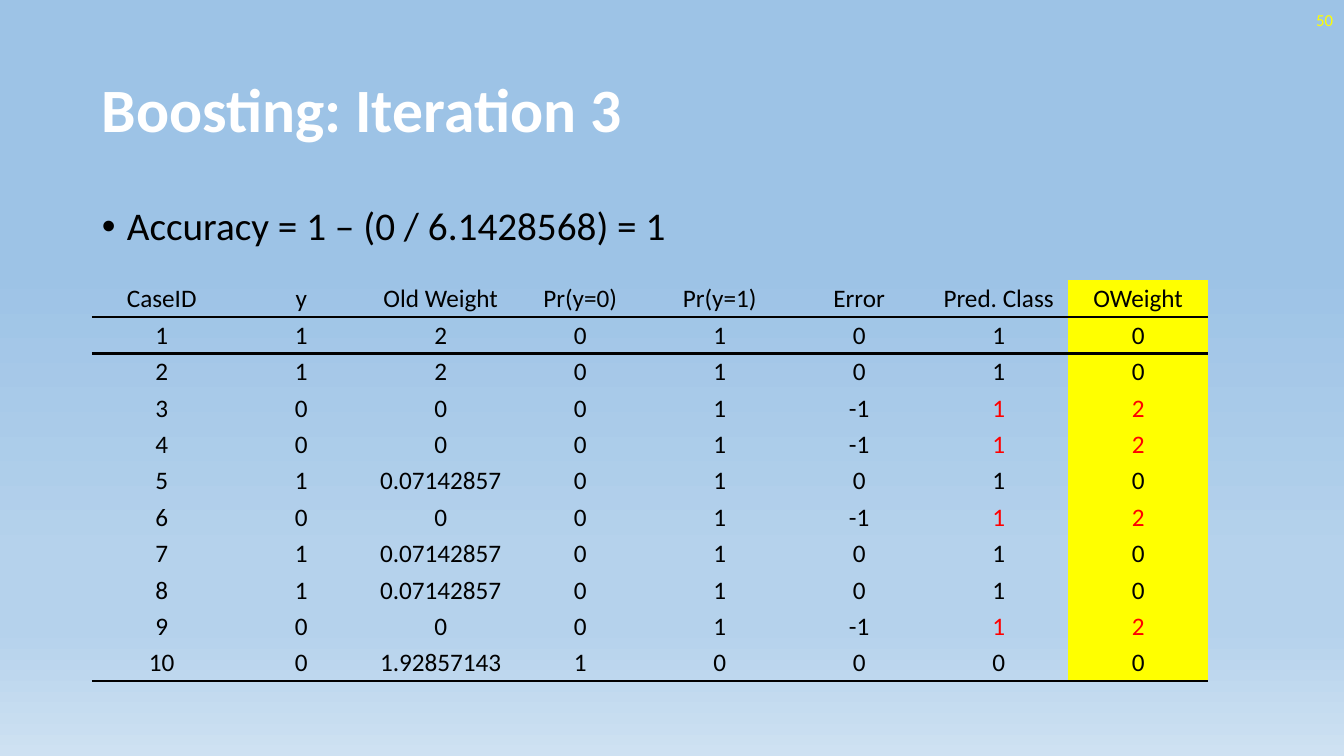
from pptx import Presentation
from pptx.dml.color import RGBColor
from pptx.enum.text import MSO_ANCHOR as ANCHOR, PP_ALIGN as ALIGN
from pptx.oxml import parse_xml
from pptx.oxml.ns import nsdecls, qn
from pptx.util import Pt

PX = 914400 / 100.8
BLACK, WHITE, YELLOW, RED = "000000", "FFFFFF", "FFFF00", "FF0000"


def px(n):
    """Pixels to EMU."""
    return round(n * PX)


def style(p, size, color, align=ALIGN.LEFT, bold=False):
    p.alignment = align
    for r in p.runs:
        r.font.name = "Calibri"
        r.font.size = Pt(size)
        r.font.bold = bold
        r.font.color.rgb = RGBColor.from_string(color)


prs = Presentation()
prs.slide_width, prs.slide_height = px(1344), px(756)
s = prs.slides.add_slide(prs.slide_layouts[6])

# Background gradient, top to bottom
fill = s.background.fill
fill.gradient()
fill.gradient_angle = 270
stops = s.background._cSld.find(".//" + qn("a:gsLst"))
for gs in list(stops):
    stops.remove(gs)
for pos, color in [(35, "9DC3E6"), (74, "B5D2EC"), (83, "B5D2EC"), (100, "CEE1F2")]:
    stops.append(parse_xml(
        f'<a:gs {nsdecls("a")} pos="{pos * 1000}"><a:srgbClr val="{color}"/></a:gs>'))

# Title, bullet and slide number
texts = [
    ("Boosting: Iteration 3", (92, 40, 1159, 146), 44, WHITE, ALIGN.LEFT, ANCHOR.MIDDLE),
    ("Accuracy = 1 – (0 / 6.1428568) = 1", (92, 202, 1159, 480), 28, BLACK, ALIGN.LEFT, ANCHOR.TOP),
    ("50", (1041, 0, 302, 40), 12, YELLOW, ALIGN.RIGHT, ANCHOR.MIDDLE),
]
for text, box, size, color, align, anchor in texts:
    tf = s.shapes.add_textbox(*map(px, box)).text_frame
    tf.word_wrap = True
    tf.vertical_anchor = anchor
    tf.text = text
    p = tf.paragraphs[0]
    style(p, size, color, align, bold=size == 44)
    if size > 12:
        p.line_spacing = 0.9
    if anchor == ANCHOR.TOP:
        p.space_before = Pt(10)
        pPr = p._p.get_or_add_pPr()
        pPr.set("marL", str(px(25)))
        pPr.set("indent", str(-px(25)))
        pPr.append(parse_xml(f'<a:buFont {nsdecls("a")} typeface="Arial"/>'))
        pPr.append(parse_xml(f'<a:buChar {nsdecls("a")} char="•"/>'))

# Case table
rows = [
    ("CaseID", "y", "Old Weight", "Pr(y=0)", "Pr(y=1)", "Error", "Pred. Class", "OWeight"),
    ("1", "1", "2", "0", "1", "0", "1", "0"),
    ("2", "1", "2", "0", "1", "0", "1", "0"),
    ("3", "0", "0", "0", "1", "-1", "1", "2"),
    ("4", "0", "0", "0", "1", "-1", "1", "2"),
    ("5", "1", "0.07142857", "0", "1", "0", "1", "0"),
    ("6", "0", "0", "0", "1", "-1", "1", "2"),
    ("7", "1", "0.07142857", "0", "1", "0", "1", "0"),
    ("8", "1", "0.07142857", "0", "1", "0", "1", "0"),
    ("9", "0", "0", "0", "1", "-1", "1", "2"),
    ("10", "0", "1.92857143", "1", "0", "0", "0", "0"),
]
ERROR, OWEIGHT = 5, 7
HEADER_H, TABLE_H = 37, 401
last = len(rows) - 1
table = s.shapes.add_table(len(rows), len(rows[0]), px(92), px(280), px(1116), px(TABLE_H)).table
table.first_row = table.horz_banding = False
# "No Style, No Grid"
table._tbl.tblPr.find(qn("a:tableStyleId")).text = "{2D5ABB26-0587-4C30-8999-92F81FD0307C}"

for i, values in enumerate(rows):
    table.rows[i].height = px((TABLE_H - HEADER_H) / last if i else HEADER_H)
    for j, value in enumerate(values):
        cell = table.cell(i, j)
        cell.text = value
        cell.vertical_anchor = ANCHOR.MIDDLE
        cell.margin_left = cell.margin_right = cell.margin_top = px(1)
        cell.margin_bottom = 0
        wrong = values[ERROR] == "-1" and j > ERROR
        style(cell.text_frame.paragraphs[0], 18, RED if wrong else BLACK, ALIGN.CENTER)
        if j == OWEIGHT:
            cell.fill.solid()
            cell.fill.fore_color.rgb = RGBColor.from_string(YELLOW)
        else:
            cell.fill.background()
        side = {0: "lnB", 1: "lnT", last: "lnB"}.get(i)
        if side:
            cell._tc.get_or_add_tcPr().insert(0, parse_xml(
                f'<a:{side} {nsdecls("a")} w="{Pt(2)}"><a:solidFill>'
                f'<a:srgbClr val="{BLACK}"/></a:solidFill></a:{side}>'))

prs.save("out.pptx")
